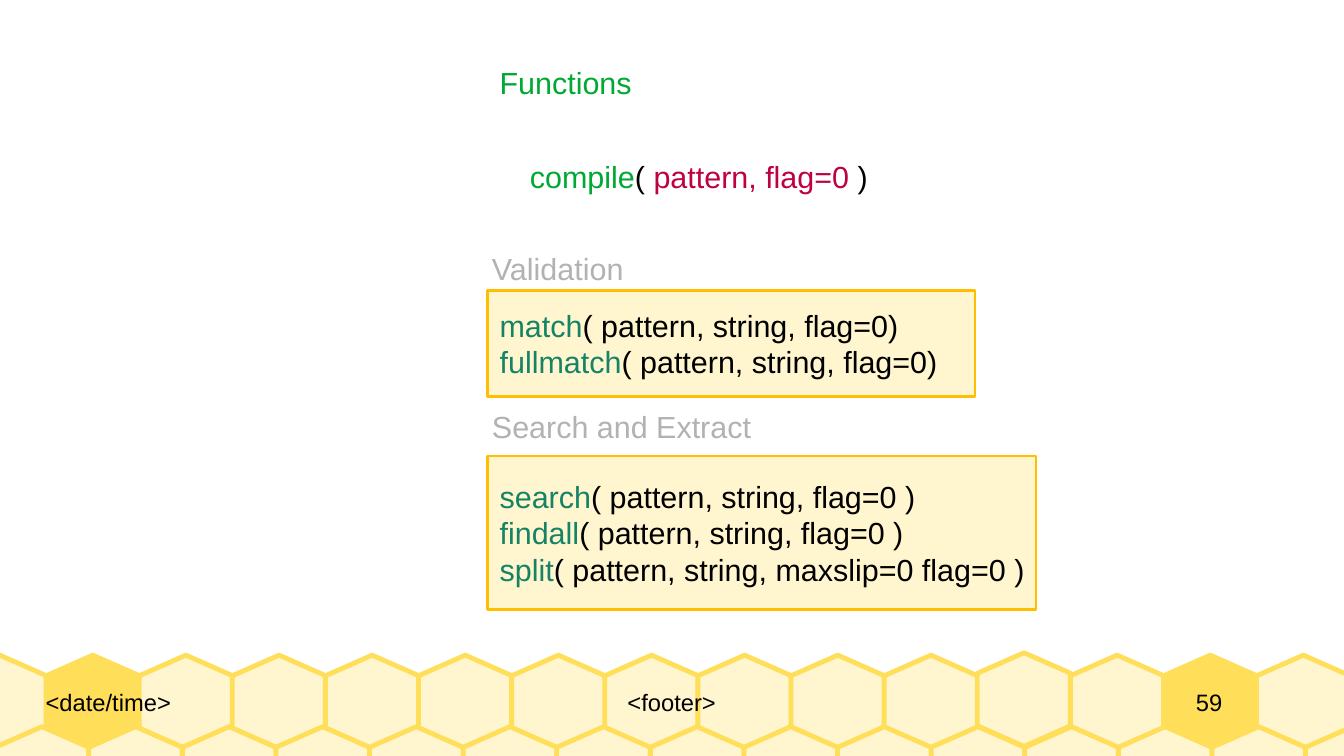
"""Build the slide on regular expression functions above a honeycomb border."""
from dataclasses import dataclass

import pptx
import pptx.dml.color
import pptx.enum.shapes
import pptx.enum.text
import pptx.shapes.autoshape
import pptx.shapes.shapetree
import pptx.slide
import pptx.text.text
import pptx.util

Cm = pptx.util.Cm
Align = pptx.enum.text.PP_ALIGN
Anchor = pptx.enum.text.MSO_ANCHOR

BLACK = "000000"
GREEN = "00A933"
TEAL = "158466"
CRIMSON = "BF0041"
GRAY = "B2B2B2"
CREAM = "FFF5CE"
YELLOW = "FFDE59"
AMBER = "FFBF00"

HEXAGON_SIZE = 1.95
HEXAGON_SHOULDER = 0.43
HEXAGONS_PER_ROW = 15
FOOTER_TOP = 13.65
RAISED_TOP = 13.6

Run = tuple[str, str]


@dataclass(frozen=True)
class HexagonRow:
    left: float
    top: float
    step: float
    yellow: tuple[int, ...] = ()
    raised: tuple[int, ...] = ()


@dataclass(frozen=True)
class Label:
    left: float
    top: float
    width: float
    runs: tuple[Run, ...]


@dataclass(frozen=True)
class FooterField:
    left: float
    width: float
    text: str
    alignment: Align = Align.CENTER


@dataclass(frozen=True)
class FunctionBox:
    top: float
    width: float
    height: float
    functions: tuple[Run, ...]


HEXAGON_ROWS = (
    HexagonRow(-0.98, FOOTER_TOP, 1.94, yellow=(1, 13), raised=(11,)),
    HexagonRow(-0.1, 15.14, 1.95),
)
FOOTER_FIELDS = (
    FooterField(0.95, 6.68, "<date/time>", Align.LEFT),
    FooterField(7.63, 12.73, "<footer>"),
    FooterField(23.6, 3.18, "59"),
)
LABELS = (
    Label(10.16, 1.22, 3.5, (("Functions", GREEN),)),
    Label(10.79, 3.17, 7.8, (
        ("compile", GREEN), ("( ", BLACK), ("pattern, flag=0", CRIMSON), (" )", BLACK),
    )),
    Label(10, 5.08, 3.5, (("Validation", GRAY),)),
    Label(10, 8.38, 6.2, (("Search and Extract", GRAY),)),
)
FUNCTION_BOXES = (
    FunctionBox(6.05, 10.16, 2.21, (
        ("match", "( pattern, string, flag=0)"),
        ("fullmatch", "( pattern, string, flag=0)"),
    )),
    FunctionBox(9.5, 11.43, 3.2, (
        ("search", "( pattern, string, flag=0 )"),
        ("findall", "( pattern, string, flag=0 )"),
        ("split", "( pattern, string, maxslip=0 flag=0 )"),
    )),
)


def rgb(color: str) -> pptx.dml.color.RGBColor:
    return pptx.dml.color.RGBColor.from_string(color)


def add_text(paragraph: pptx.text.text._Paragraph, text: str, *,
             color: str = BLACK, size: float = 18) -> None:
    run = paragraph.add_run()
    run.text = text
    run.font.name = "Arial"
    run.font.size = pptx.util.Pt(size)
    run.font.color.rgb = rgb(color)


def style_shape(shape: pptx.shapes.autoshape.Shape, fill: str, line: str, width: float) -> None:
    shape.shadow.inherit = False
    shape.fill.solid()
    shape.fill.fore_color.rgb = rgb(fill)
    shape.line.color.rgb = rgb(line)
    shape.line.width = pptx.util.Pt(width)


def add_hexagon(shapes: pptx.shapes.shapetree.SlideShapes,
                left: float, top: float, fill: str) -> None:
    middle, right = left + HEXAGON_SIZE / 2, left + HEXAGON_SIZE
    bottom = top + HEXAGON_SIZE
    upper, lower = top + HEXAGON_SHOULDER, bottom - HEXAGON_SHOULDER
    corners = [(left, upper), (left, lower), (middle, bottom), (right, lower), (right, upper)]
    builder = shapes.build_freeform(Cm(middle), Cm(top))
    builder.add_line_segments([(Cm(x), Cm(y)) for x, y in corners])
    style_shape(builder.convert_to_shape(), fill, YELLOW, 2.83)


def add_hexagon_row(shapes: pptx.shapes.shapetree.SlideShapes, row: HexagonRow) -> None:
    for index in range(HEXAGONS_PER_ROW):
        top = RAISED_TOP if index in row.raised else row.top
        fill = YELLOW if index in row.yellow else CREAM
        add_hexagon(shapes, row.left + index * row.step, top, fill)


def add_footer_field(shapes: pptx.shapes.shapetree.SlideShapes, field: FooterField) -> None:
    box = shapes.add_textbox(Cm(field.left), Cm(FOOTER_TOP), Cm(field.width), Cm(HEXAGON_SIZE))
    frame = box.text_frame
    frame.word_wrap = True
    frame.vertical_anchor = Anchor.MIDDLE
    frame.margin_left = frame.margin_right = frame.margin_top = frame.margin_bottom = 0
    frame.paragraphs[0].alignment = field.alignment
    add_text(frame.paragraphs[0], field.text, size=14)


def add_label(shapes: pptx.shapes.shapetree.SlideShapes, label: Label) -> None:
    box = shapes.add_textbox(Cm(label.left), Cm(label.top), Cm(label.width), Cm(0.97))
    frame = box.text_frame
    frame.word_wrap = True
    for text, color in label.runs:
        add_text(frame.paragraphs[0], text, color=color)


def add_function_box(shapes: pptx.shapes.shapetree.SlideShapes, box: FunctionBox) -> None:
    shape = shapes.add_shape(pptx.enum.shapes.MSO_SHAPE.RECTANGLE,
                             Cm(10.16), Cm(box.top), Cm(box.width), Cm(box.height))
    style_shape(shape, CREAM, AMBER, 1.42)
    frame = shape.text_frame
    frame.word_wrap = False
    frame.vertical_anchor = Anchor.MIDDLE
    for index, (name, arguments) in enumerate(box.functions):
        paragraph = frame.add_paragraph() if index else frame.paragraphs[0]
        paragraph.alignment = Align.JUSTIFY
        add_text(paragraph, name, color=TEAL)
        add_text(paragraph, arguments)


def main() -> None:
    presentation = pptx.Presentation()
    presentation.slide_width = Cm(28)
    presentation.slide_height = Cm(15.75)
    slide = presentation.slides.add_slide(presentation.slide_layouts[6])
    for row in HEXAGON_ROWS:
        add_hexagon_row(slide.shapes, row)
    for field in FOOTER_FIELDS:
        add_footer_field(slide.shapes, field)
    for label in LABELS:
        add_label(slide.shapes, label)
    for box in FUNCTION_BOXES:
        add_function_box(slide.shapes, box)
    presentation.save("out.pptx")


if __name__ == "__main__":
    main()
